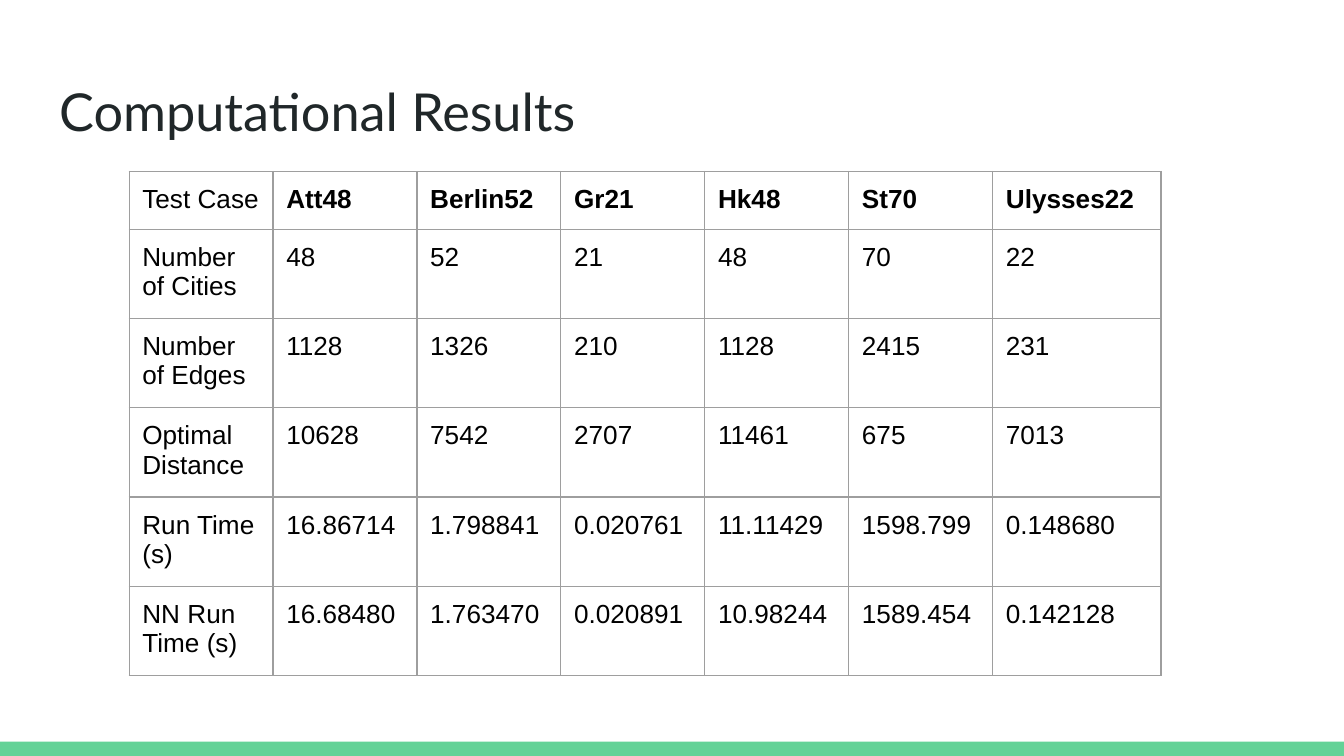
from lxml.etree import SubElement
from pptx import Presentation
from pptx.dml.color import RGBColor
from pptx.enum.shapes import MSO_SHAPE
from pptx.oxml.ns import qn
from pptx.util import Cm, Pt


def write_text(frame, text, font="Arial", size=14, color="000000", bold=False):
    frame.word_wrap = True
    span = frame.paragraphs[0].add_run()
    span.text = text
    span.font.name = font
    span.font.size = Pt(size)
    span.font.bold = bold
    span.font.color.rgb = RGBColor.from_string(color)


def add_borders(cell, color="9E9E9E", width=0.75):
    """Draw a solid line on all four sides; call before setting the cell's fill."""
    properties = cell._tc.get_or_add_tcPr()
    for side in ("lnL", "lnR", "lnT", "lnB"):
        line = SubElement(properties, qn(f"a:{side}"), w=str(Pt(width)))
        fill = SubElement(line, qn("a:solidFill"))
        SubElement(fill, qn("a:srgbClr"), val=color)


deck = Presentation()
deck.slide_width = Cm(25.4)
deck.slide_height = Cm(14.29)
page = deck.slides.add_slide(deck.slide_layouts[6])

# Footer band
band = page.shapes.add_shape(MSO_SHAPE.RECTANGLE, 0, Cm(14.02), Cm(25.4), Cm(0.27))
band.shadow.inherit = False
band.fill.solid()
band.fill.fore_color.rgb = RGBColor.from_string("63D297")
band.line.fill.background()

# Title
title = page.shapes.add_textbox(Cm(0.87), Cm(1.24), Cm(23.67), Cm(1.6))
frame = title.text_frame
frame.margin_left = frame.margin_right = Cm(0.25)
frame.margin_top = frame.margin_bottom = Cm(0.25)
write_text(frame, "Computational Results", font="Lato", size=28, color="202729")

# Results table
results = [
    ["Test Case", "Att48", "Berlin52", "Gr21", "Hk48", "St70", "Ulysses22"],
    ["Number of Cities", "48", "52", "21", "48", "70", "22"],
    ["Number of Edges", "1128", "1326", "210", "1128", "2415", "231"],
    ["Optimal Distance", "10628", "7542", "2707", "11461", "675", "7013"],
    ["Run Time (s)", "16.86714", "1.798841", "0.020761", "11.11429", "1598.799", "0.148680"],
    ["NN Run Time (s)", "16.68480", "1.763470", "0.020891", "10.98244", "1589.454", "0.142128"],
]
column_widths = [2.72] * 6 + [3.18]
row_heights = [1.07] + [1.61] * 5

table = page.shapes.add_table(
    len(results), len(column_widths), Cm(2.44), Cm(3.24),
    Cm(sum(column_widths)), Cm(sum(row_heights)),
).table
table.first_row = False
table.horz_banding = False
for column, width in zip(table.columns, column_widths):
    column.width = Cm(width)
for row, height in zip(table.rows, row_heights):
    row.height = Cm(height)

for row_index, values in enumerate(results):
    for column_index, value in enumerate(values):
        cell = table.cell(row_index, column_index)
        cell.margin_left = cell.margin_right = Cm(0.25)
        cell.margin_top = cell.margin_bottom = Cm(0.25)
        add_borders(cell)
        cell.fill.background()
        is_case_name = row_index == 0 and column_index > 0
        write_text(cell.text_frame, value, bold=is_case_name)

deck.save("out.pptx")
